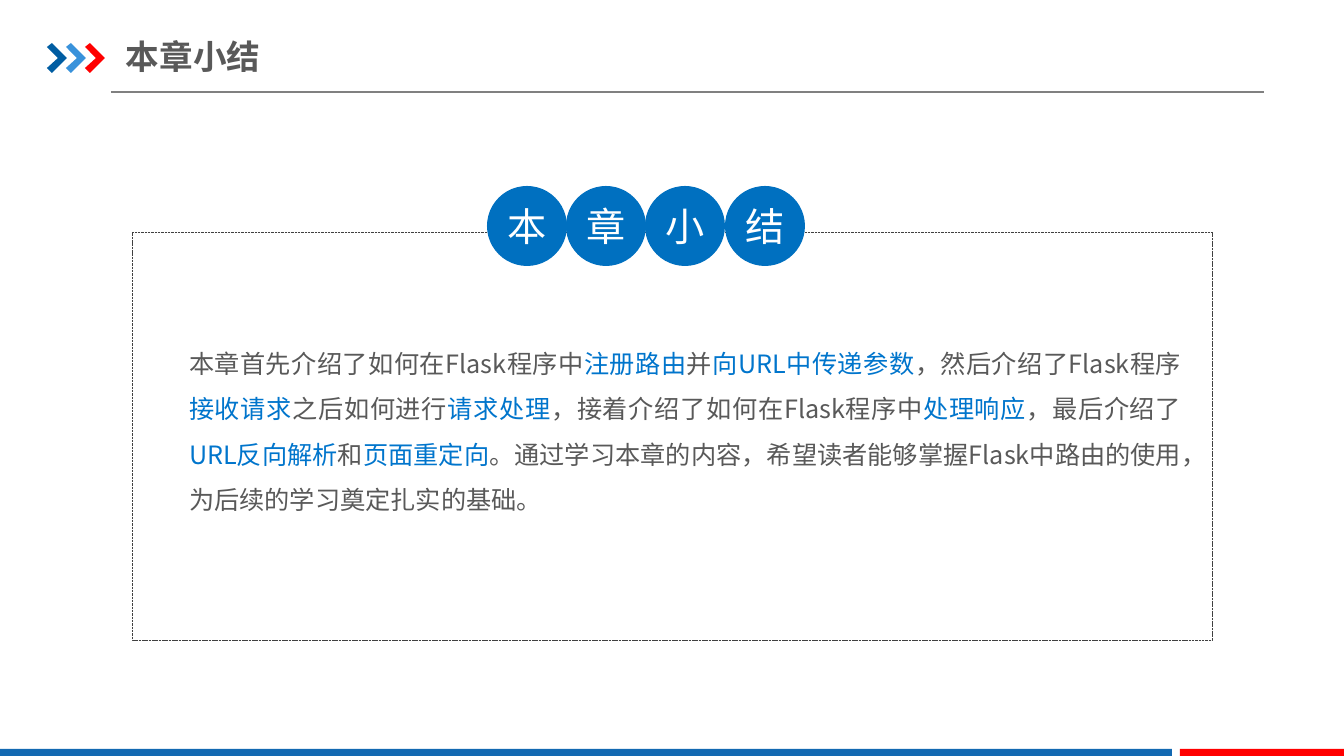
"""Build the chapter summary slide."""
from lxml.etree import SubElement
from pptx import Presentation
from pptx.dml.color import RGBColor
from pptx.enum.dml import MSO_LINE
from pptx.enum.shapes import MSO_CONNECTOR, MSO_SHAPE
from pptx.enum.text import MSO_ANCHOR, MSO_AUTO_SIZE, PP_ALIGN
from pptx.oxml.ns import qn
from pptx.util import Pt

PX = 914400 / 100.8
FONT = "Noto Sans CJK SC"
NAVY = RGBColor(0x00, 0x5D, 0xA2)
SKY = RGBColor(0x39, 0x92, 0xDB)
RED = RGBColor(0xFF, 0x00, 0x00)
FOOTER_BLUE = RGBColor(0x13, 0x69, 0xB2)
CIRCLE_BLUE = RGBColor(0x00, 0x70, 0xC0)
KEYWORD_BLUE = RGBColor(0x00, 0x75, 0xCC)
TEXT_GRAY = RGBColor(0x59, 0x59, 0x59)
RULE_GRAY = RGBColor(0x80, 0x80, 0x80)
FRAME_GRAY = RGBColor(0x40, 0x40, 0x40)
WHITE = RGBColor(0xFF, 0xFF, 0xFF)


def px(*lengths):
    return [round(length * PX) for length in lengths]


def format_run(run, size, color, bold=False):
    run.font.size = Pt(size)
    run.font.bold = bold
    run.font.color.rgb = color
    run.font.name = FONT
    SubElement(run._r.get_or_add_rPr(), qn("a:ea"), typeface=FONT)


prs = Presentation()
prs.slide_width, prs.slide_height = px(1344, 756)
slide = prs.slides.add_slide(prs.slide_layouts[6])
shapes = slide.shapes

title_rule = shapes.add_connector(MSO_CONNECTOR.STRAIGHT, *px(111, 92, 1264, 92))
title_rule.line.color.rgb = RULE_GRAY
title_rule.line.width = Pt(0.75)
SubElement(title_rule._element.spPr, qn("a:effectLst"))

for left, color in zip((47, 66, 85), (NAVY, SKY, RED)):
    outline = shapes.build_freeform(left, 47, scale=PX)
    outline.add_line_segments(
        [(left + dx, y) for dx, y in ((5, 43), (20, 58), (5, 73), (0, 68), (11, 58))]
    )
    chevron = outline.convert_to_shape()
    chevron.shadow.inherit = False
    chevron.fill.solid()
    chevron.fill.fore_color.rgb = color
    chevron.line.fill.background()

for left, width, color in ((0, 1172, FOOTER_BLUE), (1180, 164, RED)):
    footer_bar = shapes.add_shape(MSO_SHAPE.RECTANGLE, *px(left, 749, width, 7))
    footer_bar.shadow.inherit = False
    footer_bar.fill.solid()
    footer_bar.fill.fore_color.rgb = color
    footer_bar.line.fill.background()

title = shapes.add_textbox(*px(126, 29, 625, 55)).text_frame
title.word_wrap = True
title.vertical_anchor = MSO_ANCHOR.MIDDLE
title.margin_left = title.margin_right = 0
title.margin_top, title.margin_bottom = px(7, 7)
title.text = "本章小结"
format_run(title.paragraphs[0].runs[0], 24, TEXT_GRAY, bold=True)

frame = shapes.add_shape(MSO_SHAPE.ROUNDED_RECTANGLE, *px(132, 232, 1080, 408))
frame.adjustments[0] = 0
frame.shadow.inherit = False
frame.fill.background()
frame.line.color.rgb = FRAME_GRAY
frame.line.width = Pt(0.25)
frame.line.dash_style = MSO_LINE.SQUARE_DOT

summary = shapes.add_textbox(*px(189, 333, 992, 183)).text_frame
summary.word_wrap = True
summary.auto_size = MSO_AUTO_SIZE.SHAPE_TO_FIT_TEXT
summary.margin_left = summary.margin_right = 0
summary.margin_top = summary.margin_bottom = 0
summary_paragraph = summary.paragraphs[0]
summary_paragraph.alignment = PP_ALIGN.JUSTIFY
summary_paragraph.line_spacing = 1.5
phrases = (
    ("本章首先介绍了如何在Flask程序中", TEXT_GRAY),
    ("注册路由", KEYWORD_BLUE),
    ("并", TEXT_GRAY),
    ("向URL中传递参数", KEYWORD_BLUE),
    ("，然后介绍了Flask程序", TEXT_GRAY),
    ("接收请求", KEYWORD_BLUE),
    ("之后如何进行", TEXT_GRAY),
    ("请求处理", KEYWORD_BLUE),
    ("，接着介绍了如何在Flask程序中", TEXT_GRAY),
    ("处理响应", KEYWORD_BLUE),
    ("，最后介绍了", TEXT_GRAY),
    ("URL反向解析", KEYWORD_BLUE),
    ("和", TEXT_GRAY),
    ("页面重定向", KEYWORD_BLUE),
    ("。通过学习本章的内容，希望读者能够掌握Flask中路由的使用，"
     "为后续的学习奠定扎实的基础。", TEXT_GRAY),
)
for phrase, color in phrases:
    run = summary_paragraph.add_run()
    run.text = phrase
    format_run(run, 18, color)

for index, character in enumerate("本章小结"):
    left = 487 + 238 * index // 3
    circle = shapes.add_shape(MSO_SHAPE.OVAL, *px(left, 186, 80, 80))
    circle.shadow.inherit = False
    circle.fill.solid()
    circle.fill.fore_color.rgb = CIRCLE_BLUE
    circle.line.fill.background()
    label = circle.text_frame
    label.margin_left = label.margin_right = 0
    label.vertical_anchor = MSO_ANCHOR.MIDDLE
    label.text = character
    label.paragraphs[0].alignment = PP_ALIGN.CENTER
    format_run(label.paragraphs[0].runs[0], 28, WHITE)

prs.save("out.pptx")
